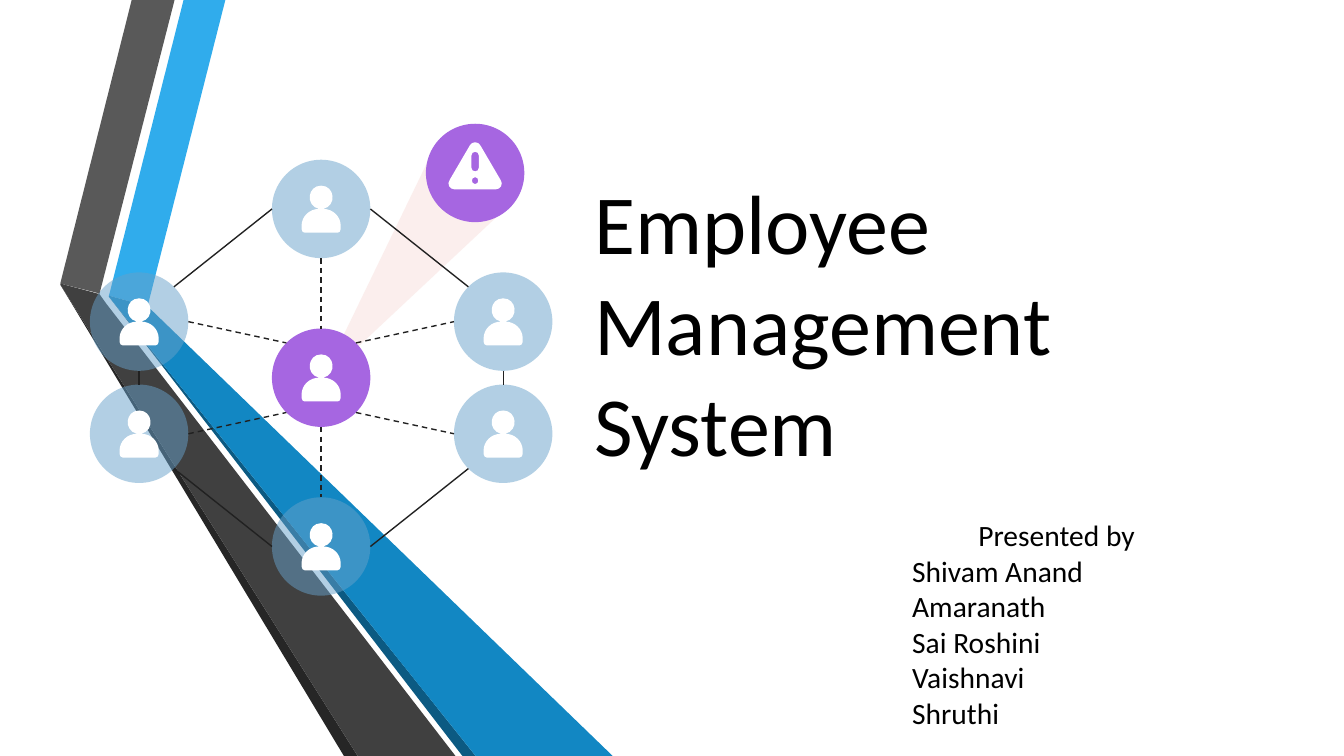
"""Build the title slide of an employee management system presentation."""
from dataclasses import dataclass
from math import cos, radians, sin

from lxml.etree import SubElement
from pptx import Presentation
from pptx.dml.color import RGBColor
from pptx.enum.dml import MSO_LINE
from pptx.enum.shapes import MSO_CONNECTOR, MSO_SHAPE
from pptx.enum.text import MSO_ANCHOR, PP_ALIGN
from pptx.oxml.ns import qn
from pptx.util import Cm, Pt

WIDTH, HEIGHT = 25.4, 14.29
RADIUS = 0.93
HUB_X, HUB_Y = 6.07, 7.14
COLUMN_STEP, SIDE_OFFSET, POLE_OFFSET = 3.44, 1.06, 3.19
PURPLE, PALE_BLUE, WHITE, BLACK = "A666E1", "66A1CA", "FFFFFF", "000000"
COMPASS = {"E": 0, "SE": 45, "S": 90, "SW": 135, "W": 180, "NW": 225, "N": 270, "NE": 315}

Point = tuple[float, float]
Segment = list[Point]
Contour = list[Segment]


@dataclass(frozen=True)
class Ribbon:
    """A folded band of the background, with its corners in centimetres."""

    colour: str
    corners: list[Point]


@dataclass(frozen=True)
class Node:
    """A round badge given by its centre."""

    x: float
    y: float
    colour: str = PALE_BLUE
    opacity: int = 50

    def anchor(self, direction: str) -> Point:
        """Return the point of the rim that lies in a compass direction."""
        angle = radians(COMPASS[direction])
        return self.x + RADIUS * cos(angle), self.y + RADIUS * sin(angle)


@dataclass(frozen=True)
class Link:
    """A line between the rims of two named nodes."""

    start: str
    leaves: str
    end: str
    arrives: str
    dashed: bool = False


RIBBONS = [
    Ribbon("30ACEC", [(2.06, 5.59), (2.79, 5.79), (4.26, 0), (3.47, 0)]),
    Ribbon("595959", [(1.88, 5.56), (3.3, 0), (2.49, 0), (1.14, 5.36), (1.85, 5.54)]),
    Ribbon("262626", [(1.14, 5.38), (6.5, HEIGHT), (6.76, HEIGHT)]),
    Ribbon("0C5A82", [(8.99, HEIGHT), (2.06, 5.61), (8.74, HEIGHT)]),
    Ribbon("1287C3", [(2.06, 5.59), (2.06, 5.61), (8.99, HEIGHT), (11.58, HEIGHT), (2.79, 5.79)]),
    Ribbon("404040", [(8.61, HEIGHT), (2.01, 5.74), (1.88, 5.56), (1.14, 5.36), (1.14, 5.38),
                      (6.76, HEIGHT)]),
]
BEAM = [(6.07, 7.21), (8.26, 2.69), (9.73, 3.78)]
ALERT = Node(8.98, 3.27, PURPLE, 100)
PEOPLE = {
    "hub": Node(HUB_X, HUB_Y, PURPLE, 100),
    "top": Node(HUB_X, HUB_Y - POLE_OFFSET),
    "bottom": Node(HUB_X, HUB_Y + POLE_OFFSET),
    "lower right": Node(HUB_X + COLUMN_STEP, HUB_Y + SIDE_OFFSET),
    "lower left": Node(HUB_X - COLUMN_STEP, HUB_Y + SIDE_OFFSET),
    "upper right": Node(HUB_X + COLUMN_STEP, HUB_Y - SIDE_OFFSET),
    "upper left": Node(HUB_X - COLUMN_STEP, HUB_Y - SIDE_OFFSET),
}
LINKS = [
    Link("upper left", "NE", "top", "W"),
    Link("upper left", "S", "lower left", "N"),
    Link("lower left", "SE", "bottom", "W"),
    Link("top", "E", "upper right", "NW"),
    Link("upper right", "S", "lower right", "N"),
    Link("lower right", "SW", "bottom", "E"),
    Link("top", "S", "hub", "N", True),
    Link("hub", "S", "bottom", "N", True),
    Link("upper left", "E", "hub", "NW", True),
    Link("lower left", "E", "hub", "SW", True),
    Link("hub", "NE", "upper right", "W", True),
    Link("hub", "SE", "lower right", "W", True),
]
PERSON_HALVES = [
    [[(0, -0.44)], [(-0.26, -0.44), (-0.3, -0.06), (-0.04, 0)],
     [(-0.22, 0), (-0.37, 0.14), (-0.37, 0.32)], [(-0.37, 0.38)],
     [(-0.37, 0.42), (-0.34, 0.45), (-0.31, 0.45)]],
]
WARNING_HALVES = [
    [[(0, -0.58)], [(-0.04, -0.58), (-0.08, -0.56), (-0.1, -0.52)], [(-0.48, 0.13)],
     [(-0.54, 0.21), (-0.48, 0.31), (-0.39, 0.31)]],
    [[(0, -0.4)], [(-0.04, -0.4), (-0.07, -0.37), (-0.07, -0.33)], [(-0.07, -0.1)],
     [(-0.07, -0.06), (-0.04, -0.03), (0, -0.03)]],
    [[(0, 0.08)], [(-0.08, 0.08), (-0.08, 0.21), (0, 0.21)]],
]
NAMES = ["Shivam Anand", "Amaranath", "Sai Roshini", "Vaishnavi", "Shruthi"]


def colour_of(value: str) -> RGBColor:
    """Turn a hex string into a colour."""
    return RGBColor.from_string(value)


def paint(shape, colour: str, opacity: int = 100) -> None:
    """Give a shape a plain fill without outline or shadow."""
    shape.shadow.inherit = False
    shape.line.fill.background()
    shape.fill.solid()
    shape.fill.fore_color.rgb = colour_of(colour)
    if opacity < 100:
        tint = shape._element.spPr.find(qn("a:solidFill"))[0]
        SubElement(tint, qn("a:alpha")).set("val", str(opacity * 1000))


def draw_outline(slide, contours: list[Contour], colour: str, opacity: int = 100) -> None:
    """Draw closed contours as one freeform, with three-point segments as curves."""
    builder = None
    for contour in contours:
        first, *others = [(Cm(x), Cm(y)) for segment in contour for x, y in segment]
        if builder is None:
            builder = slide.shapes.build_freeform(*first)
        else:
            builder.move_to(*first)
        builder.add_line_segments(others, close=True)
    shape = builder.convert_to_shape()
    lines = iter(list(shape._element.iter(qn("a:lnTo"))))
    for segment in (segment for contour in contours for segment in contour[1:]):
        line, *rest = [next(lines) for _ in segment]
        if rest:
            line.tag = qn("a:cubicBezTo")
            for other in rest:
                line.append(other[0])
                other.getparent().remove(other)
    paint(shape, colour, opacity)


def mirrored(half: Contour) -> Contour:
    """Complete a left half with its reflection in the vertical axis."""
    points = [(-x, y) for segment in reversed(half) for x, y in reversed(segment)]
    whole = half + ([points[:1]] if points[0][0] else [])
    position = 1
    for segment in reversed(half[1:]):
        whole.append(points[position:position + len(segment)])
        position += len(segment)
    return whole


def draw_icon(slide, node: Node, halves: list[Contour]) -> None:
    """Draw a symmetric white icon, given by its left halves, on a node."""
    contours = [[[(node.x + x, node.y + y) for x, y in segment] for segment in mirrored(half)]
                for half in halves]
    draw_outline(slide, contours, WHITE)


def draw_node(slide, node: Node, halves: list[Contour]) -> None:
    """Draw a round badge with its icon."""
    shape = slide.shapes.add_shape(MSO_SHAPE.OVAL, Cm(node.x - RADIUS), Cm(node.y - RADIUS),
                                   Cm(2 * RADIUS), Cm(2 * RADIUS))
    paint(shape, node.colour, node.opacity)
    draw_icon(slide, node, halves)


def draw_link(slide, link: Link) -> None:
    """Draw the line between two people."""
    ends = PEOPLE[link.start].anchor(link.leaves) + PEOPLE[link.end].anchor(link.arrives)
    connector = slide.shapes.add_connector(MSO_CONNECTOR.STRAIGHT, *map(Cm, ends))
    connector.line.color.rgb = colour_of("212121")
    connector.line.width = Pt(0.75)
    if link.dashed:
        connector.line.dash_style = MSO_LINE.DASH
    SubElement(connector._element.spPr, qn("a:effectLst"))


def add_text_box(slide, top: float, height: float, *, anchor=MSO_ANCHOR.TOP, bottom: float = 0.25):
    """Add a wrapping text box in the right-hand column."""
    frame = slide.shapes.add_textbox(Cm(10.98), Cm(top), Cm(12.73), Cm(height)).text_frame
    frame.word_wrap = True
    frame.vertical_anchor = anchor
    frame.margin_left = frame.margin_right = frame.margin_top = Cm(0.25)
    frame.margin_bottom = Cm(bottom)
    return frame


def write(paragraph, text: str, *, size: float, indent: float = 0, spacing=None) -> None:
    """Write formatted text into a paragraph."""
    paragraph.text = text
    paragraph.alignment = PP_ALIGN.LEFT
    paragraph.line_spacing = spacing
    paragraph._p.get_or_add_pPr().set("marL", str(Cm(indent)))
    for run in paragraph.runs:
        run.font.name, run.font.size = "Calibri", Pt(size)
        run.font.color.rgb = colour_of(BLACK)


def main() -> None:
    """Build and save the presentation."""
    presentation = Presentation()
    presentation.slide_width, presentation.slide_height = Cm(WIDTH), Cm(HEIGHT)
    slide = presentation.slides.add_slide(presentation.slide_layouts[6])
    for ribbon in RIBBONS:
        draw_outline(slide, [[[corner] for corner in ribbon.corners]], ribbon.colour)
    title = add_text_box(slide, 2.97, 6.35, anchor=MSO_ANCHOR.BOTTOM, bottom=0.38)
    write(title.paragraphs[0], "Employee Management\vSystem", size=45)
    credits = add_text_box(slide, 9.53, 3.58)
    write(credits.paragraphs[0], "Presented by", size=15.8, indent=7.26, spacing=Pt(19))
    for name in NAMES:
        write(credits.add_paragraph(), name, size=15.8, indent=6.01, spacing=Pt(19))
    draw_outline(slide, [[[corner] for corner in BEAM]], "E38075", 13)
    draw_node(slide, ALERT, WARNING_HALVES)
    for person in PEOPLE.values():
        draw_node(slide, person, PERSON_HALVES)
    for link in LINKS:
        draw_link(slide, link)
    presentation.save("out.pptx")


if __name__ == "__main__":
    main()
